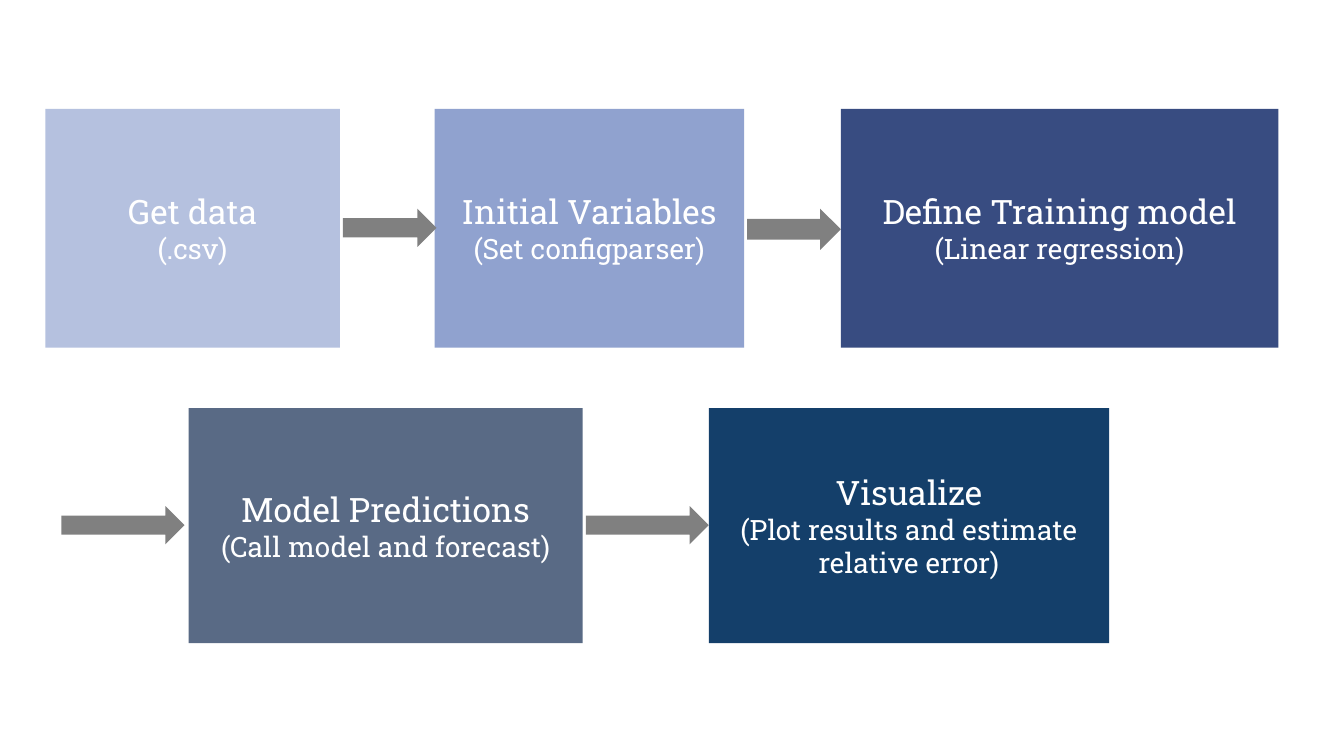
from dataclasses import dataclass

from pptx import Presentation
from pptx.dml.color import RGBColor
from pptx.enum.shapes import MSO_SHAPE as Preset
from pptx.enum.text import MSO_ANCHOR as Anchor, PP_ALIGN as Align
from pptx.shapes.autoshape import Shape
from pptx.slide import Slide
from pptx.util import Inches, Pt


@dataclass(frozen=True)
class Theme:
    font: str = "Roboto Slab"
    text: str = "FFFFFF"
    arrow: str = "808080"
    heading_size: int = 24
    detail_size: int = 20


@dataclass(frozen=True)
class Row:
    top: float
    height: float


@dataclass(frozen=True)
class Step:
    row: Row
    left: float
    width: float
    fill: str
    heading: str
    detail: str


@dataclass(frozen=True)
class Arrow:
    left: float
    top: float
    width: float
    height: float = 0.38


THEME = Theme()
UPPER = Row(1.08, 2.37)
LOWER = Row(4.05, 2.33)

STEPS = [
    Step(UPPER, 0.45, 2.92, "B5C1DF", "Get data", "(.csv)"),
    Step(UPPER, 4.31, 3.07, "90A2CF", "Initial Variables", "(Set configparser)"),
    Step(UPPER, 8.34, 4.34, "384C81", "Define Training model", "(Linear regression)"),
    Step(LOWER, 1.87, 3.91, "596A85", "Model Predictions", "(Call model and forecast)"),
    Step(LOWER, 7.03, 3.97, "143F6A", "Visualize",
         "(Plot results and estimate relative error)"),
]

ARROWS = [
    Arrow(0.61, 5.02, 1.22),
    Arrow(5.81, 5.02, 1.22),
    Arrow(3.4, 2.07, 0.93),
    Arrow(7.41, 2.07, 0.93, 0.41),
]


def add_filled(page: Slide, preset: Preset, left: float, top: float,
               width: float, height: float, fill: str) -> Shape:
    shape = page.shapes.add_shape(
        preset, Inches(left), Inches(top), Inches(width), Inches(height))
    shape.shadow.inherit = False
    shape.fill.solid()
    shape.fill.fore_color.rgb = RGBColor.from_string(fill)
    shape.line.fill.background()
    return shape


def add_step(page: Slide, step: Step) -> None:
    box = add_filled(page, Preset.RECTANGLE, step.left, step.row.top,
                     step.width, step.row.height, step.fill)
    frame = box.text_frame
    frame.word_wrap = True
    frame.vertical_anchor = Anchor.MIDDLE
    frame.text = f"{step.heading}\n{step.detail}"
    sizes = (THEME.heading_size, THEME.detail_size)
    for para, size in zip(frame.paragraphs, sizes):
        para.alignment = Align.CENTER
        for span in para.runs:
            span.font.name = THEME.font
            span.font.size = Pt(size)
            span.font.color.rgb = RGBColor.from_string(THEME.text)


def add_arrow(page: Slide, arrow: Arrow) -> None:
    add_filled(page, Preset.RIGHT_ARROW, arrow.left, arrow.top,
               arrow.width, arrow.height, THEME.arrow)


def main() -> None:
    deck = Presentation()
    deck.slide_width = Inches(13.33)
    deck.slide_height = Inches(7.5)
    blank_layout = deck.slide_layouts[6]
    page = deck.slides.add_slide(blank_layout)

    # Process steps
    for step in STEPS:
        add_step(page, step)

    # Arrows between the steps
    for arrow in ARROWS:
        add_arrow(page, arrow)

    deck.save("out.pptx")


if __name__ == "__main__":
    main()
